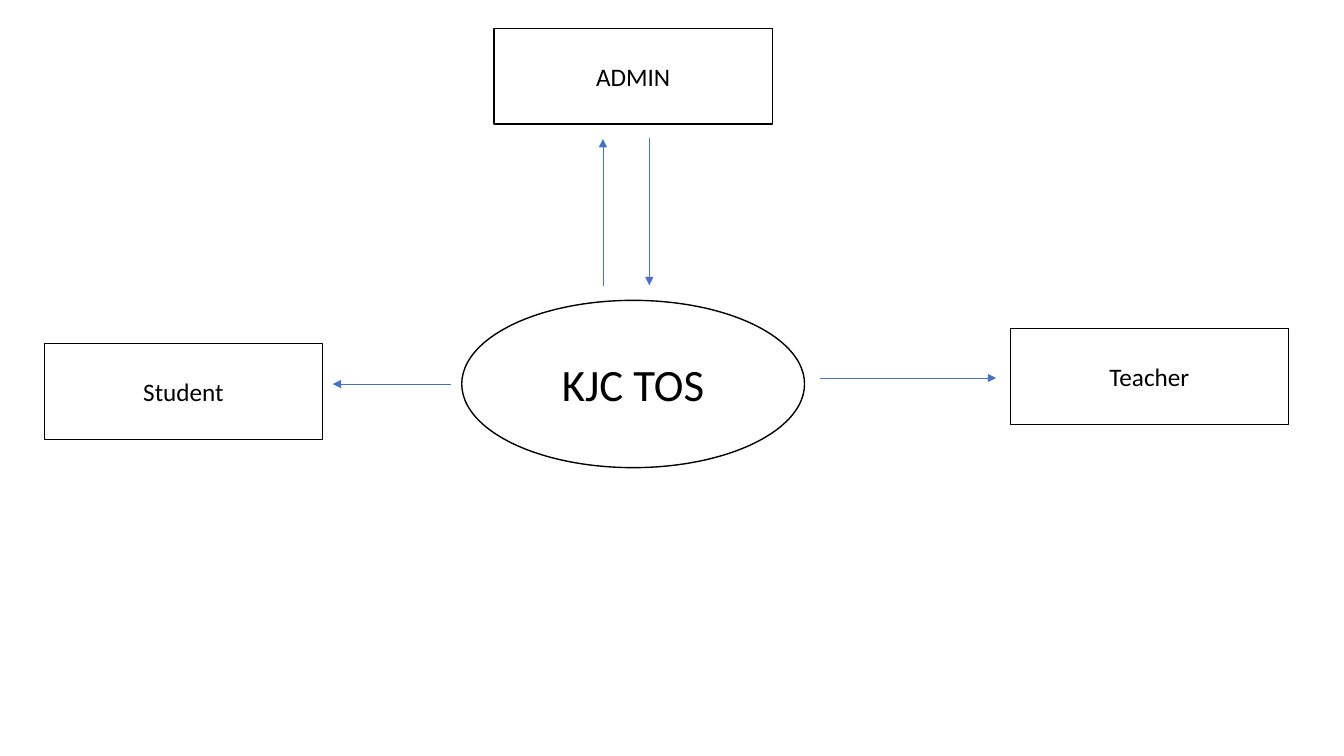
from lxml import etree
from pptx import Presentation
from pptx.dml.color import RGBColor
from pptx.enum import shapes, text
from pptx.oxml import ns
from pptx.util import Inches, Pt

BLACK = RGBColor(0x00, 0x00, 0x00)
WHITE = RGBColor(0xFF, 0xFF, 0xFF)
BLUE = RGBColor(0x44, 0x72, 0xC4)

# Content: central system, the roles around it, and the flows between them
SYSTEM = ("KJC TOS", 4.58, 2.98)
ROLES = [("Student", 0.44, 3.41), ("ADMIN", 4.9, 0.28), ("Teacher", 10.02, 3.26)]
FLOWS = [
    ((5.98, 2.84), (5.98, 1.38)),  # system to admin
    ((6.44, 1.37), (6.44, 2.83)),  # admin to system
    ((8.13, 3.75), (9.88, 3.75)),  # system to teacher
    ((4.47, 3.81), (3.3, 3.81)),   # system to student
]
SYSTEM_SIZE = (3.4, 1.66)
ROLE_SIZE = (2.76, 0.95)


def add_node(s, kind, node, size, font_size):
    label, left, top = node
    sp = s.shapes.add_shape(kind, *map(Inches, (left, top, *size)))
    sp.shadow.inherit = False
    sp.fill.solid()
    sp.fill.fore_color.rgb = WHITE
    sp.line.color.rgb = BLACK
    sp.line.width = Pt(1)
    tf = sp.text_frame
    tf.vertical_anchor = text.MSO_ANCHOR.MIDDLE
    p = tf.paragraphs[0]
    p.text = label
    p.alignment = text.PP_ALIGN.CENTER
    p.font.name = "Calibri"
    p.font.size = Pt(font_size)
    p.font.color.rgb = BLACK


def add_flow(s, start, end):
    line = s.shapes.add_connector(
        shapes.MSO_CONNECTOR.STRAIGHT, *map(Inches, (*start, *end)))
    line.line.color.rgb = BLUE
    line.line.width = Pt(0.5)
    # Arrowhead at the end, no shadow
    etree.SubElement(line.line._get_or_add_ln(), ns.qn("a:tailEnd"), type="triangle")
    etree.SubElement(line._element.spPr, ns.qn("a:effectLst"))


def main():
    prs = Presentation()
    prs.slide_width, prs.slide_height = Inches(13.33), Inches(7.5)
    s = prs.slides.add_slide(prs.slide_layouts[6])

    # System and roles
    add_node(s, shapes.MSO_SHAPE.OVAL, SYSTEM, SYSTEM_SIZE, 32)
    for role in ROLES:
        add_node(s, shapes.MSO_SHAPE.RECTANGLE, role, ROLE_SIZE, 18)

    # Flows
    for start, end in FLOWS:
        add_flow(s, start, end)

    prs.save("out.pptx")


if __name__ == "__main__":
    main()
